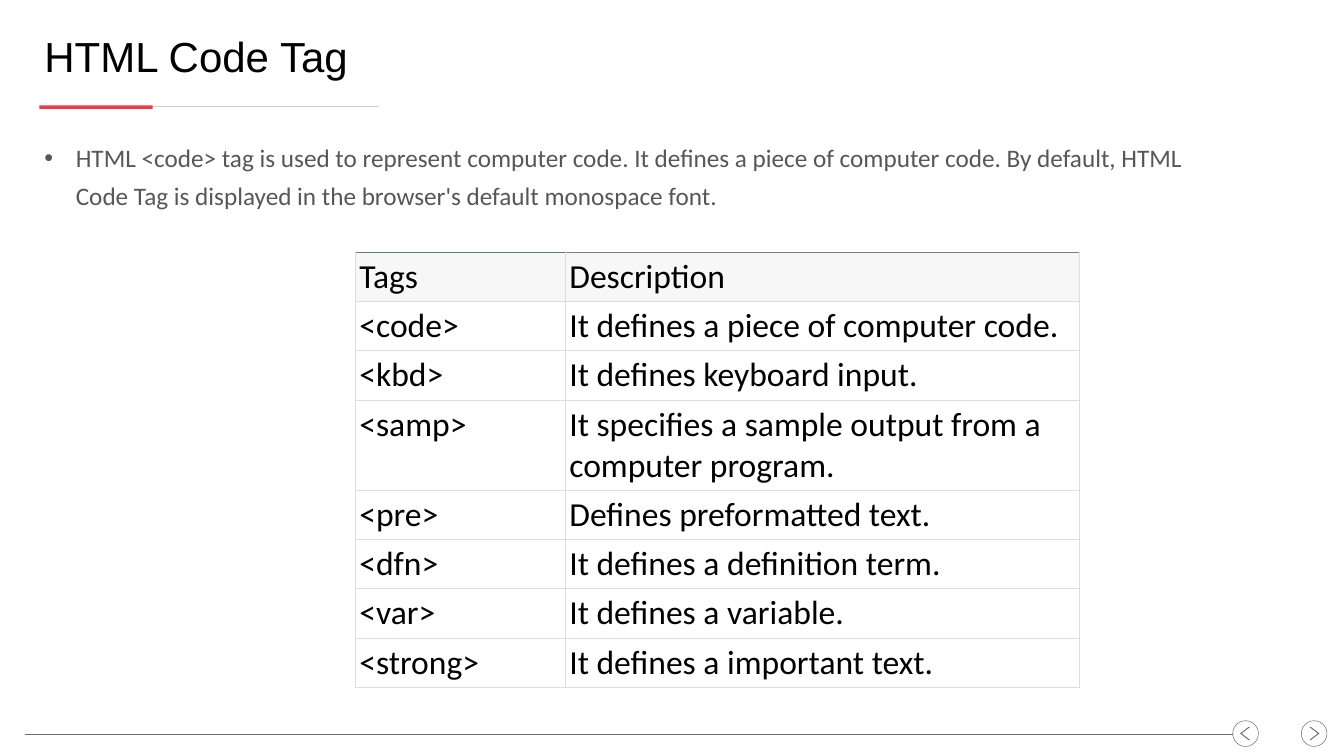
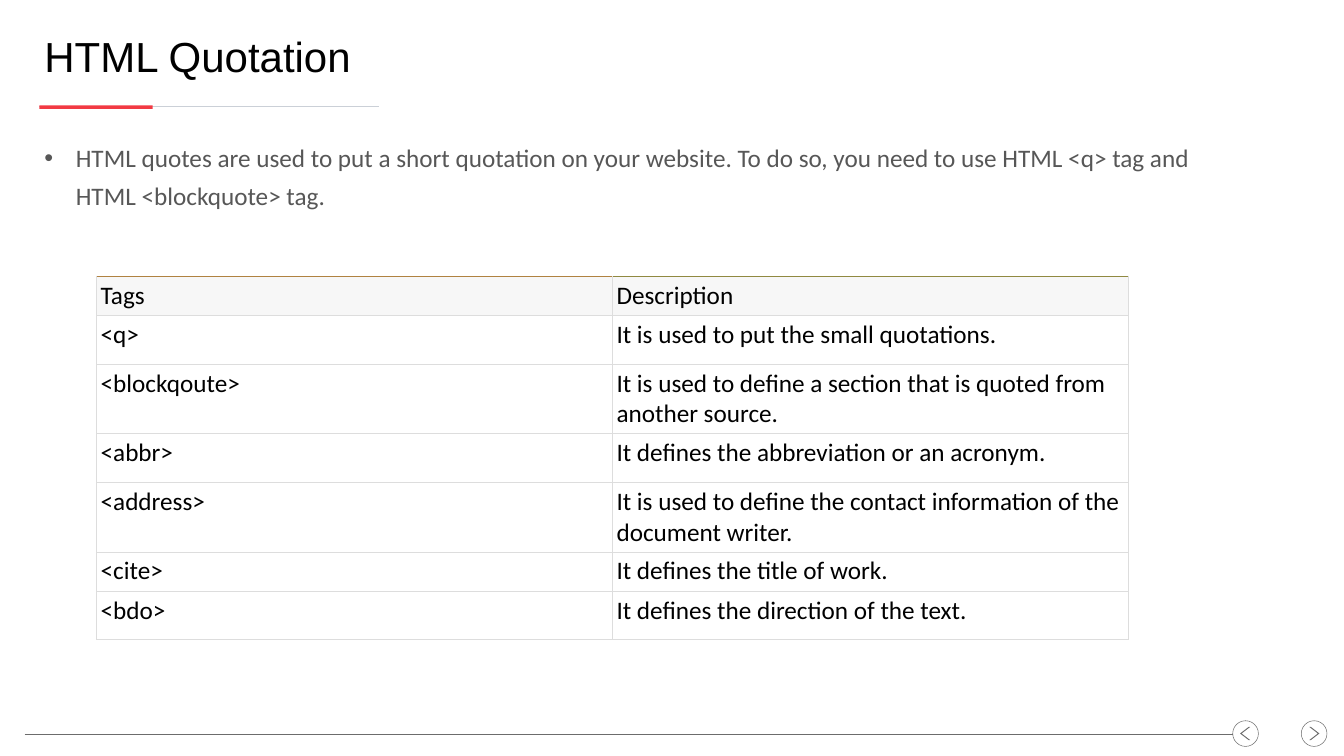
"""Build two slides on HTML code and quotation tags."""
from lxml import etree
from pptx import Presentation
from pptx.dml.color import RGBColor
from pptx.enum import shapes, text
from pptx.oxml import ns
from pptx.util import Pt

BLACK = RGBColor(0, 0, 0)
WHITE = RGBColor(255, 255, 255)
BODY = RGBColor(0x57, 0x57, 0x57)
GREY = RGBColor(0x6C, 0x6C, 0x6C)
RULE = RGBColor(0xCB, 0xD0, 0xD7)
RED = RGBColor(0xF2, 0x3A, 0x43)
HEAD = RGBColor(0xF7, 0xF7, 0xF7)
EDGE = RGBColor(0xDD, 0xDD, 0xDD)

PAGES = [
    {
        "title": "HTML Code Tag",
        "body": "HTML <code> tag is used to represent computer code. It defines a piece "
                "of computer code. By default, HTML Code Tag is displayed in the "
                "browser's default monospace font.",
        "left": 507.6, "top": 360, "cols": (300, 734), "size": 48,
        "heights": [70.5] * 3 + [128.5] + [70.5] * 4,
        "tops": (RGBColor(0x60, 0x7F, 0x73), RGBColor(0x80, 0x7F, 0x73)),
        "rows": [
            ("Tags", "Description"),
            ("<code>", "It defines a piece of computer code."),
            ("<kbd>", "It defines keyboard input."),
            ("<samp>", "It specifies a sample output from a computer program."),
            ("<pre>", "Defines preformatted text."),
            ("<dfn>", "It defines a definition term."),
            ("<var>", "It defines a variable."),
            ("<strong>", "It defines a important text."),
        ],
    },
    {
        "title": "HTML Quotation",
        "body": "HTML quotes are used to put a short quotation on your website. To do so, "
                "you need to use HTML <q> tag and HTML <blockquote> tag.",
        "left": 138, "top": 394.5, "cols": (737, 737), "size": 36,
        "heights": [56, 69.5, 99.5, 69.5, 99.5, 56, 69.5],
        "tops": (RGBColor(0xB0, 0x82, 0x41), RGBColor(0x90, 0x89, 0x41)),
        "rows": [
            ("Tags", "Description"),
            ("<q>", "It is used to put the small quotations."),
            ("<blockqoute>", "It is used to define a section that is quoted from another source."),
            ("<abbr>", "It defines the abbreviation or an acronym."),
            ("<address>", "It is used to define the contact information of the document writer."),
            ("<cite>", "It defines the title of work."),
            ("<bdo>", "It defines the direction of the text."),
        ],
    },
]


def style(para, face, size, color):
    para.font.name = face
    para.font.size = Pt(size)
    para.font.color.rgb = color


def add_line(slide, left, right, y, color, width):
    line = slide.shapes.add_connector(
        shapes.MSO_CONNECTOR.STRAIGHT, Pt(left), Pt(y), Pt(right), Pt(y))
    line.line.color.rgb = color
    line.line.width = Pt(width)
    etree.SubElement(line.element.spPr, ns.qn("a:effectLst"))


def add_form(tree, kind, box, fill=None):
    form = tree.add_shape(kind, *map(Pt, box))
    form.shadow.inherit = False
    if fill is None:
        form.fill.background()
        form.line.color.rgb = GREY
        form.line.width = Pt(0.75)
    else:
        form.fill.solid()
        form.fill.fore_color.rgb = fill
        form.line.fill.background()
    return form


def add_button(slide, left, shift, turn):
    tree = slide.shapes.add_group_shape().shapes
    add_form(tree, shapes.MSO_SHAPE.OVAL, (left, 1029.6, 36.7, 36.7))
    arrow = add_form(tree, shapes.MSO_SHAPE.CHEVRON, (left + shift, 1038.5, 14.4, 18.7), GREY)
    arrow.adjustments[0] = 0.844
    arrow.rotation = turn


def add_frame(slide):
    add_line(slide, 56.2, 541.4, 152.6, RULE, 1.5)
    add_form(slide.shapes, shapes.MSO_SHAPE.RECTANGLE, (56.2, 150.5, 162, 5), RED)
    add_button(slide, 1859, 11.5, 0)
    add_button(slide, 1761, 10.5, 180)
    add_line(slide, 35.3, 1761, 1048.3, GREY, 0.75)


def add_text(slide, words, box):
    frame = slide.shapes.add_textbox(*map(Pt, box)).text_frame
    frame.word_wrap = True
    para = frame.paragraphs[0]
    para.text = words
    para.space_after = Pt(12)
    return frame, para


def add_title(slide, words):
    frame, para = add_text(slide, words, (56.2, 42.5, 1803.6, 74.9))
    frame.vertical_anchor = text.MSO_ANCHOR.MIDDLE
    style(para, "Arial", 60, BLACK)


def add_body(slide, words):
    para = add_text(slide, words, (56.2, 189.4, 1679.8, 783.4))[1]
    para.line_spacing = 1.25
    props = para._p.get_or_add_pPr()
    props.set("marL", str(Pt(45)))
    props.set("indent", str(Pt(-45)))
    etree.SubElement(props, ns.qn("a:buFont")).set("typeface", "Arial")
    etree.SubElement(props, ns.qn("a:buChar")).set("char", "•")
    style(para, "Calibri", 36, BODY)


def add_edges(cell, top):
    props = cell._tc.get_or_add_tcPr()
    for spot, side in enumerate("LRTB"):
        edge = etree.Element(ns.qn("a:ln" + side), w=str(Pt(0.75)))
        fill = etree.SubElement(edge, ns.qn("a:solidFill"))
        color = top if side == "T" else EDGE
        etree.SubElement(fill, ns.qn("a:srgbClr")).set("val", str(color))
        props.insert(spot, edge)


def add_grid(slide, page):
    rows, cols, heights = page["rows"], page["cols"], page["heights"]
    grid = slide.shapes.add_table(
        len(rows), len(cols), Pt(page["left"]), Pt(page["top"]),
        Pt(sum(cols)), Pt(sum(heights))).table
    for col, width in zip(grid.columns, cols):
        col.width = Pt(width)
    for r, (row, high) in enumerate(zip(rows, heights)):
        grid.rows[r].height = Pt(high)
        for c, words in enumerate(row):
            cell = grid.cell(r, c)
            cell.text = words
            cell.margin_left = cell.margin_right = Pt(5.8)
            cell.margin_top = cell.margin_bottom = Pt(5.8)
            cell.vertical_anchor = text.MSO_ANCHOR.TOP if r else text.MSO_ANCHOR.BOTTOM
            cell.fill.solid()
            cell.fill.fore_color.rgb = WHITE if r else HEAD
            para = cell.text_frame.paragraphs[0]
            style(para, "Calibri", page["size"], BLACK)
            para.font.bold = False
            add_edges(cell, EDGE if r else page["tops"][c])


def main():
    deck = Presentation()
    deck.slide_width, deck.slide_height = Pt(1920), Pt(1080)
    for page in PAGES:
        slide = deck.slides.add_slide(deck.slide_layouts[6])
        add_frame(slide)
        add_title(slide, page["title"])
        add_body(slide, page["body"])
        add_grid(slide, page)
    deck.save("out.pptx")


if __name__ == "__main__":
    main()
